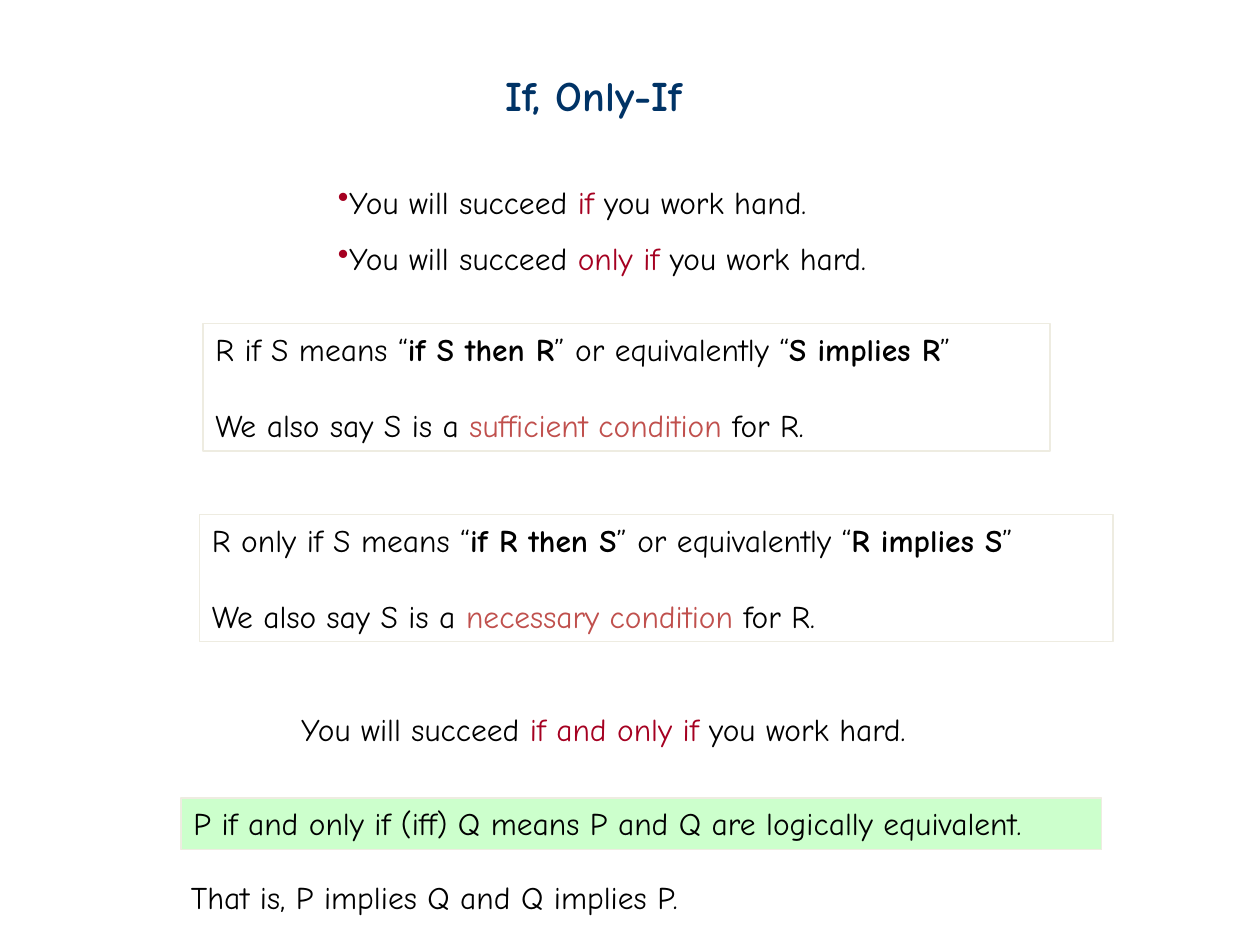
import pptx
import pptx.dml.color
import pptx.enum.shapes
import pptx.enum.text
import pptx.oxml
import pptx.oxml.ns
import pptx.util

Pt = pptx.util.Pt
FONT = "Comic Neue"
BLACK, NAVY, CRIMSON, RED = "000000", "003366", "A50021", "C0504D"
BORDER, GREEN = "EEECE1", "CCFFCC"


def color(value):
    return pptx.dml.color.RGBColor.from_string(value)


def write(paragraph, parts, size=18):
    paragraph.alignment = pptx.enum.text.PP_ALIGN.LEFT
    for text, value, bold in parts:
        run = paragraph.add_run()
        run.text = text
        run.font.name = FONT
        run.font.size = Pt(size)
        run.font.bold = bold
        run.font.color.rgb = color(value)


def plain(text):
    return text, BLACK, False


def success(condition, ending):
    return [plain("You will succeed "), (condition, CRIMSON, False), plain(ending)]


def add_bullet(paragraph):
    properties = paragraph._p.get_or_add_pPr()
    properties.set("marL", "0")
    properties.set("indent", "0")
    namespace = pptx.oxml.ns.nsdecls("a")
    for xml in (
        f'<a:buClr {namespace}><a:srgbClr val="{CRIMSON}"/></a:buClr>',
        f'<a:buFontTx {namespace}/>',
        f'<a:buChar {namespace} char="•"/>',
    ):
        properties.append(pptx.oxml.parse_xml(xml))


def add_text(slide, box, parts, size=18):
    shape = slide.shapes.add_textbox(*map(Pt, box))
    shape.text_frame.word_wrap = True
    write(shape.text_frame.paragraphs[0], parts, size)


def add_bullets(slide, box, lines):
    frame = slide.shapes.add_textbox(*map(Pt, box)).text_frame
    frame.word_wrap = True
    for index, parts in enumerate(lines):
        paragraph = frame.add_paragraph() if index else frame.paragraphs[0]
        paragraph.line_spacing = 1.5
        write(paragraph, parts)
        add_bullet(paragraph)


def add_panel(slide, box, fill=None):
    rectangle = pptx.enum.shapes.MSO_SHAPE.RECTANGLE
    shape = slide.shapes.add_shape(rectangle, *map(Pt, box))
    shape.shadow.inherit = False
    if fill:
        shape.fill.solid()
        shape.fill.fore_color.rgb = color(fill)
    else:
        shape.fill.background()
    shape.line.color.rgb = color(BORDER)
    shape.line.width = Pt(0.75)
    shape.text_frame.word_wrap = True
    shape.text_frame.vertical_anchor = pptx.enum.text.MSO_ANCHOR.TOP
    return shape.text_frame


def add_definition(slide, box, word, premise, conclusion, condition):
    frame = add_panel(slide, box)
    write(frame.paragraphs[0], [
        plain(f"R {word} S means “"),
        (f"if {premise} then {conclusion}", BLACK, True),
        plain("” or equivalently “"),
        (f"{premise} implies {conclusion}", BLACK, True),
        plain("”"),
    ])
    paragraph = frame.add_paragraph()
    paragraph.space_before = Pt(21.7)
    write(paragraph, [
        plain("We also say S is a "),
        (f"{condition} condition", RED, False),
        plain(" for R."),
    ])


def main():
    presentation = pptx.Presentation()
    presentation.slide_width = Pt(720)
    presentation.slide_height = Pt(540)
    slide = presentation.slides.add_slide(presentation.slide_layouts[6])

    add_text(slide, (282, 36, 152, 36), [("If, Only-If", NAVY, True)], 24)
    add_bullets(slide, (186, 90, 343, 72), [
        success("if", " you work hand."),
        success("only if", " you work hard."),
    ])
    add_definition(slide, (116, 185, 484, 72.7), "if", "S", "R", "sufficient")
    add_definition(slide, (114, 294, 522, 72.7), "only if", "R", "S", "necessary")
    add_text(slide, (165, 402, 390, 29), success("if and only if", " you work hard."))
    equivalence = add_panel(slide, (103.5, 456, 526, 29.5), GREEN)
    write(equivalence.paragraphs[0], [
        plain("P if and only if (iff) Q means P and Q are logically equivalent."),
    ])
    add_text(slide, (102, 498, 315, 29), [plain("That is, P implies Q and Q implies P.")])

    presentation.save("out.pptx")


if __name__ == "__main__":
    main()
